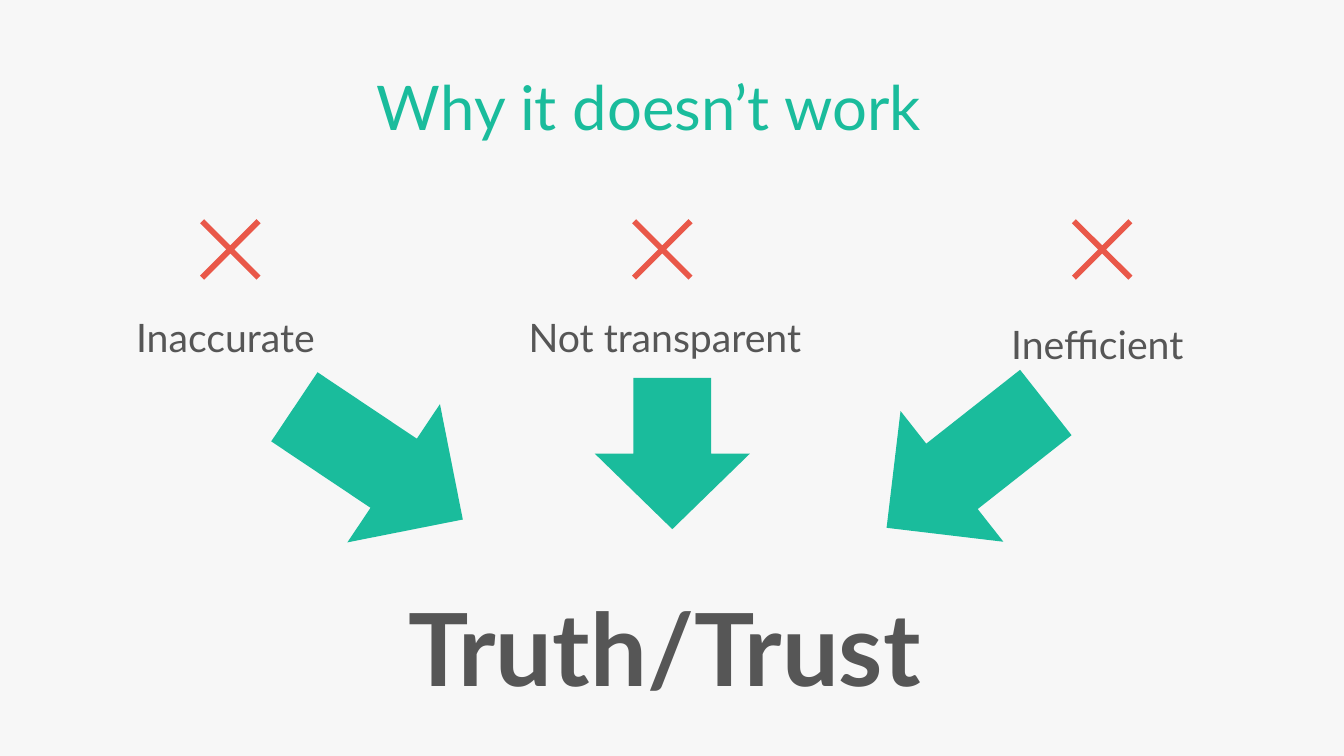
from pptx import Presentation
from pptx.dml.color import RGBColor
from pptx.enum.shapes import MSO_SHAPE
from pptx.enum.text import MSO_AUTO_SIZE, PP_ALIGN
from pptx.util import Inches, Pt

DOWN_ARROW = MSO_SHAPE.DOWN_ARROW
GROW_TO_FIT = MSO_AUTO_SIZE.SHAPE_TO_FIT_TEXT
CENTER = PP_ALIGN.CENTER

PAPER = RGBColor(0xF7, 0xF7, 0xF7)
GREEN = RGBColor(0x1A, 0xBC, 0x9C)
RED = RGBColor(0xE9, 0x58, 0x49)
GRAY = RGBColor(0x56, 0x56, 0x56)

FONT = "Lato"
SLIDE_WIDTH = Inches(13.33)
SLIDE_HEIGHT = Inches(7.5)
CROSS_ROW = 33

# Per reason: label, label box, cross centre, arrow box, arrow rotation.
# Positions are percentages of the slide's width and height.
REASONS = [
    ("Inaccurate", (6.45, 40.8, 21.38, 7.6), 17.14,
     (21.98, 47.87, 12.38, 26.8), 303.8),
    ("Not transparent", (39.15, 40.8, 21.38, 7.6), 49.28,
     (44.25, 50, 11.55, 20), 0),
    ("Inefficient", (72.6, 40.53, 18.83, 8.13), 82.01,
     (65.7, 48.13, 12.38, 26.8), 51.8),
]


def across(percent):
    return round(SLIDE_WIDTH * percent / 100)


def down(percent):
    return round(SLIDE_HEIGHT * percent / 100)


def place(box):
    left, top, width, height = box
    return across(left), down(top), across(width), down(height)


def paint(shape, color):
    shape.shadow.inherit = False
    shape.fill.solid()
    shape.fill.fore_color.rgb = color
    shape.line.fill.background()


def add_text(slide, text, box, size=28, color=GRAY, bold=False, spacing=1.0):
    frame = slide.shapes.add_textbox(*place(box)).text_frame
    frame.word_wrap = True
    frame.auto_size = GROW_TO_FIT
    frame.margin_left = 0
    frame.margin_right = Inches(0.1)
    frame.margin_top = frame.margin_bottom = Inches(0.05)
    paragraph = frame.paragraphs[0]
    paragraph.alignment = CENTER
    paragraph.line_spacing = spacing
    run = paragraph.add_run()
    run.text = text
    run.font.name = FONT
    run.font.size = Pt(size)
    run.font.bold = bold
    run.font.color.rgb = color


def add_cross(slide, center_x, center_y):
    """Draw a diagonal cross by turning one arm through four quarters."""
    inner, outer, notch = Inches(0.26), Inches(0.3), Inches(0.04)
    arm = [(outer, -inner), (inner, -outer), (0, -notch)]
    points = []
    for _ in range(4):
        points += [(center_x + x, center_y + y) for x, y in arm]
        arm = [(y, -x) for x, y in arm]
    builder = slide.shapes.build_freeform(*points[0])
    builder.add_line_segments(points[1:], close=True)
    paint(builder.convert_to_shape(), RED)


def add_arrow(slide, box, rotation):
    arrow = slide.shapes.add_shape(DOWN_ARROW, *place(box))
    arrow.rotation = rotation
    paint(arrow, GREEN)


def main():
    presentation = Presentation()
    presentation.slide_width = SLIDE_WIDTH
    presentation.slide_height = SLIDE_HEIGHT
    slide = presentation.slides.add_slide(presentation.slide_layouts[6])
    slide.background.fill.solid()
    slide.background.fill.fore_color.rgb = PAPER

    add_text(slide, "Why it doesn’t work", (6.9, 9.6, 83.55, 10.27),
             size=44, color=GREEN, spacing=0.9)
    for label, label_box, cross_x, arrow_box, rotation in REASONS:
        spacing = 1.2 if label == "Inefficient" else 1.0
        add_text(slide, label, label_box, spacing=spacing)
        add_cross(slide, across(cross_x), down(CROSS_ROW))
        add_arrow(slide, arrow_box, rotation)
    add_text(slide, "Truth/Trust", (25.88, 73.6, 47.85, 19.47),
             size=72, bold=True, spacing=1.2)

    presentation.save("out.pptx")


if __name__ == "__main__":
    main()
